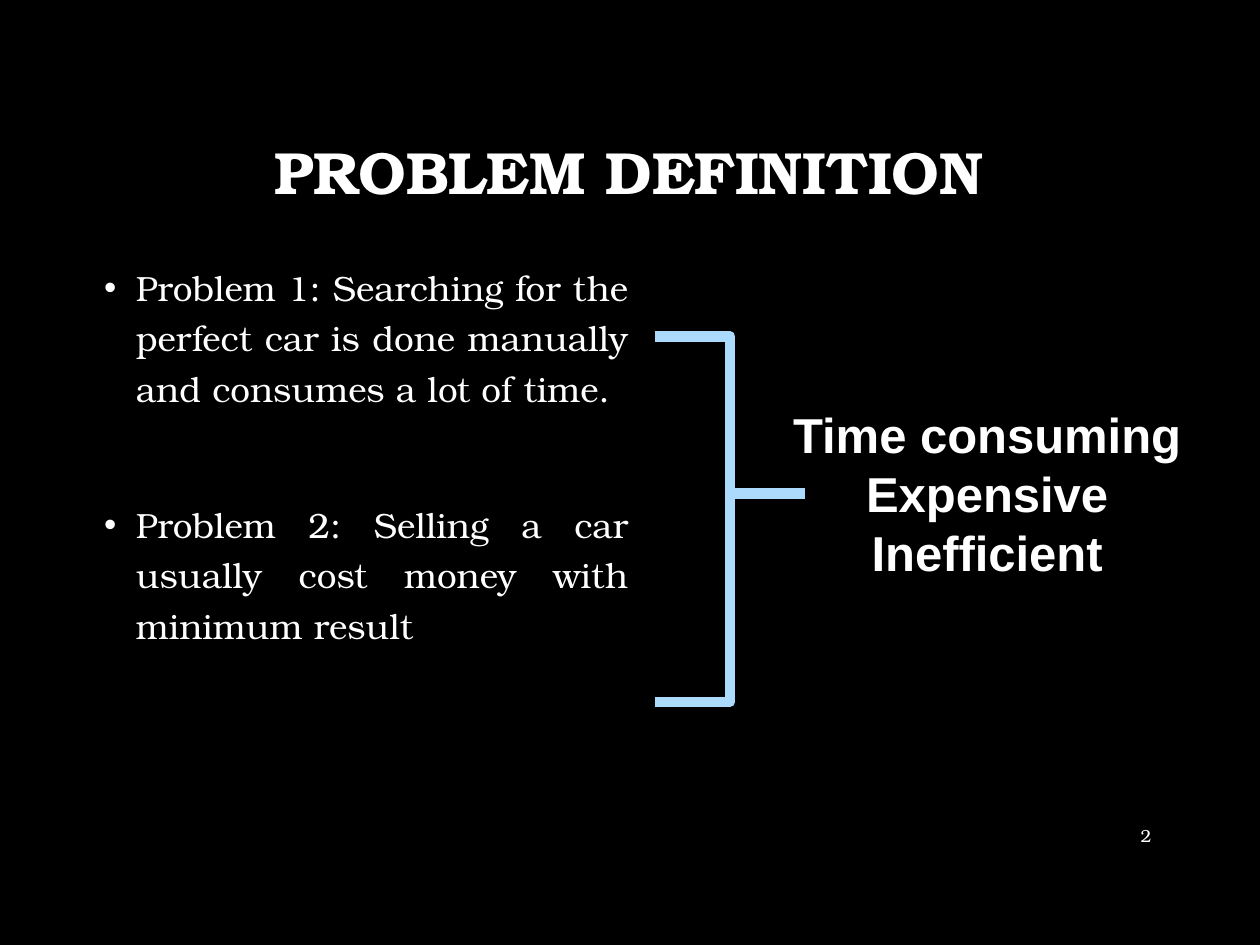
"""Build the problem definition slide: two problems bracketed to their consequences."""
from pptx import Presentation
from pptx.dml.color import RGBColor
from pptx.enum.shapes import MSO_CONNECTOR as Connector
from pptx.enum.text import MSO_ANCHOR as Anchor, PP_ALIGN as Align
from pptx.oxml.ns import qn
from pptx.util import Cm, Pt
from lxml.etree import SubElement

COLORS = {"background": "000000", "text": "FFFFFF", "bracket": "ABDAFC"}
SERIF, SANS = "TeX Gyre Bonum", "Arial"

TITLE = "PROBLEM DEFINITION"
PROBLEMS = [
    "Problem 1: Searching for the perfect car is done manually and consumes a lot of time.",
    "Problem 2: Selling a car usually cost money with minimum result",
]
CONSEQUENCES = ["Time consuming", "Expensive", "Inefficient"]
PAGE_NUMBER = "2"

BRACKET_LEFT, BRACKET_TIP = 13.2, (16.23, 9.95)
BRACKET_ENDS = [6.78, 14.15]
PROBLEM_SPACING = [10, 49]


def color(name):
    return RGBColor.from_string(COLORS[name])


def add_text(slide, box, lines, font, size, align, bold=False, anchor=Anchor.TOP):
    shape = slide.shapes.add_textbox(*map(Cm, box))
    frame = shape.text_frame
    frame.word_wrap = True
    frame.vertical_anchor = anchor
    frame.text = "\n".join(lines)
    for paragraph in frame.paragraphs:
        paragraph.alignment = align
        paragraph.font.name = font
        paragraph.font.size = Pt(size)
        paragraph.font.bold = bold
        paragraph.font.color.rgb = color("text")
    return frame.paragraphs


def add_bullet(paragraph):
    properties = paragraph._p.get_or_add_pPr()
    properties.set("marL", str(Cm(0.64)))
    properties.set("indent", str(-Cm(0.64)))
    bullet_font = properties.makeelement(qn("a:buFont"), {"typeface": SANS})
    bullet = properties.makeelement(qn("a:buChar"), {"char": "•"})
    defaults = properties.find(qn("a:defRPr"))
    for element in (bullet_font, bullet):
        defaults.addprevious(element)


def add_bracket_arm(slide, top):
    points = (BRACKET_LEFT, top, *BRACKET_TIP)
    arm = slide.shapes.add_connector(Connector.ELBOW, *map(Cm, points))
    arm.line.color.rgb = color("bracket")
    arm.line.width = Pt(6)
    SubElement(arm._element.spPr, qn("a:effectLst"))


def main():
    presentation = Presentation()
    presentation.slide_width, presentation.slide_height = Cm(25.4), Cm(19.05)
    slide = presentation.slides.add_slide(presentation.slide_layouts[6])
    slide.background.fill.solid()
    slide.background.fill.fore_color.rgb = color("background")

    title = add_text(slide, (1.9, 1.7, 21.56, 3.68), [TITLE], SERIF, 34,
                     Align.CENTER, bold=True, anchor=Anchor.MIDDLE)
    title[0].line_spacing = 0.9

    problems = add_text(slide, (1.85, 5.08, 11.07, 11.99), PROBLEMS, SERIF, 20, Align.JUSTIFY)
    for paragraph, spacing in zip(problems, PROBLEM_SPACING):
        paragraph.line_spacing = 1.2
        paragraph.space_before = Pt(spacing)
        add_bullet(paragraph)

    add_text(slide, (15.24, 8.03, 9.32, 3.84), CONSEQUENCES, SANS, 28, Align.CENTER, bold=True)
    for top in BRACKET_ENDS:
        add_bracket_arm(slide, top)
    add_text(slide, (21.89, 16.33, 1.57, 1.02), [PAGE_NUMBER], SERIF, 10,
             Align.RIGHT, anchor=Anchor.MIDDLE)
    presentation.save("out.pptx")


if __name__ == "__main__":
    main()
